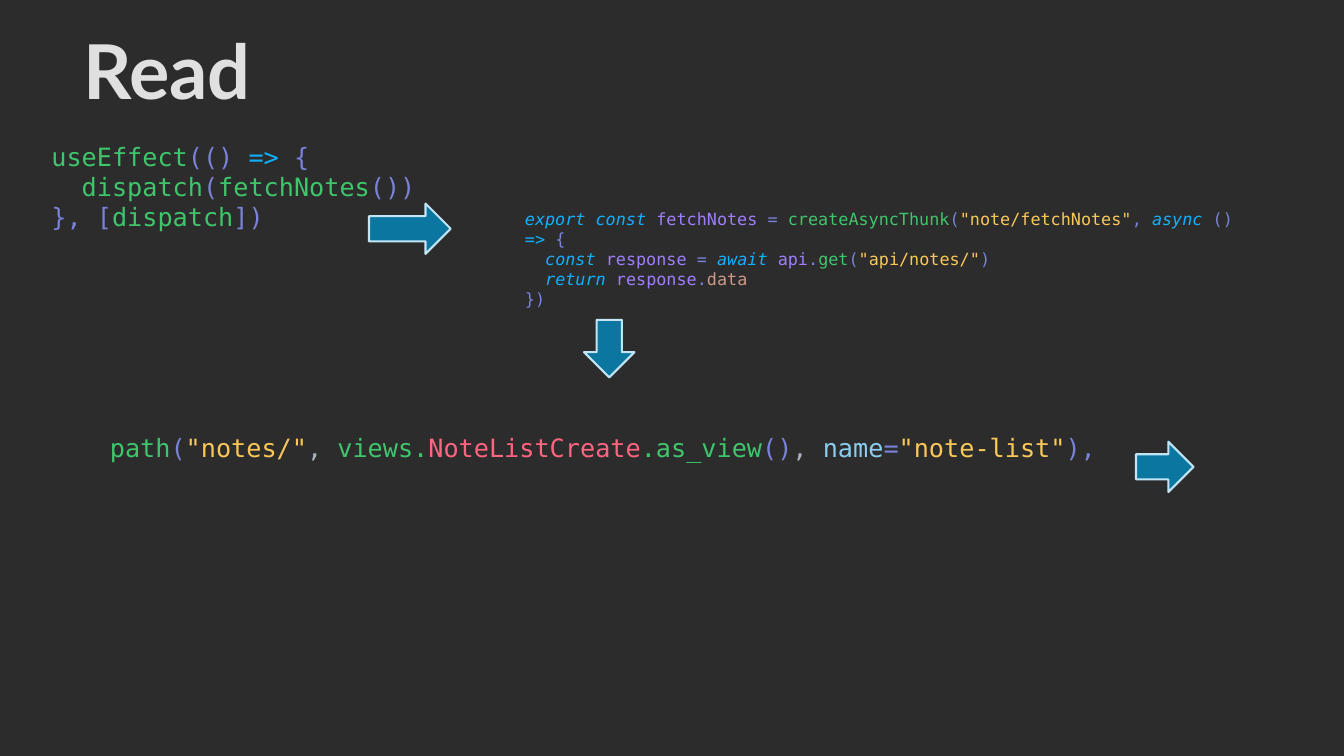
from pptx import Presentation
from pptx.dml.color import RGBColor
from pptx.enum.shapes import MSO_SHAPE as Shape
from pptx.enum.text import MSO_ANCHOR as Anchor, MSO_AUTO_SIZE as AutoSize, PP_ALIGN as Align
from pptx.util import Cm, Pt

BACKGROUND = RGBColor(0x2C, 0x2C, 0x2C)
TITLE = RGBColor(0xE0, 0xE0, 0xE0)
ARROW_FILL = RGBColor(0x0B, 0x76, 0xA0)
ARROW_LINE = RGBColor(0xC1, 0xE5, 0xF5)

PLAIN = RGBColor(0xAB, 0xB2, 0xBF)
FUNCTION = RGBColor(0x3F, 0xC5, 0x6B)
PUNCTUATION = RGBColor(0x7A, 0x82, 0xDA)
KEYWORD = RGBColor(0x10, 0xB1, 0xFE)
VARIABLE = RGBColor(0x9F, 0x7E, 0xFE)
STRING = RGBColor(0xF9, 0xC8, 0x59)
PROPERTY = RGBColor(0xCE, 0x98, 0x87)
CLASS = RGBColor(0xFF, 0x64, 0x80)
ARGUMENT = RGBColor(0x8B, 0xCD, 0xEF)

EFFECT_CODE = [
    [("  ", PLAIN), ("useEffect", FUNCTION), ("(() ", PUNCTUATION), ("=> ", KEYWORD),
     ("{", PUNCTUATION)],
    [("    ", PLAIN), ("dispatch", FUNCTION), ("(", PUNCTUATION), ("fetchNotes", FUNCTION),
     ("())", PUNCTUATION)],
    [("  ", PLAIN), ("}, [", PUNCTUATION), ("dispatch", FUNCTION), ("])", PUNCTUATION)],
]
THUNK_CODE = [
    [("export const ", KEYWORD), ("fetchNotes ", VARIABLE), ("= ", PUNCTUATION),
     ("createAsyncThunk", FUNCTION), ("(", PUNCTUATION), ('"note/fetchNotes"', STRING),
     (", ", PUNCTUATION), ("async ", KEYWORD), ("() ", PUNCTUATION), ("=> ", KEYWORD),
     ("{", PUNCTUATION)],
    [("  ", PLAIN), ("const ", KEYWORD), ("response ", VARIABLE), ("= ", PUNCTUATION),
     ("await ", KEYWORD), ("api", VARIABLE), (".", PUNCTUATION), ("get", FUNCTION),
     ("(", PUNCTUATION), ('"api/notes/"', STRING), (")", PUNCTUATION)],
    [("  ", PLAIN), ("return ", KEYWORD), ("response", VARIABLE), (".", PUNCTUATION),
     ("data", PROPERTY)],
    [("})", PUNCTUATION)],
]
ROUTE_CODE = [
    [("    ", PLAIN), ("path", FUNCTION), ("(", PUNCTUATION), ('"notes/"', STRING),
     (", ", PLAIN), ("views.", FUNCTION), ("NoteListCreate", CLASS), (".as_view", FUNCTION),
     ("()", PUNCTUATION), (", ", PLAIN), ("name", ARGUMENT), ("=", PUNCTUATION),
     ('"note-list"', STRING), ("),", PUNCTUATION)],
]


def add_span(para, text, *, font, size, color, bold=False, italic=False):
    span = para.add_run()
    span.text = text
    span.font.name = font
    span.font.size = Pt(size)
    span.font.color.rgb = color
    span.font.bold = bold
    span.font.italic = italic


def set_title(page, text):
    title = page.shapes.title
    title.left, title.top, title.width, title.height = Cm(0), Cm(0.53), Cm(8.41), Cm(2.51)
    frame = title.text_frame
    frame.auto_size = AutoSize.NONE
    frame.vertical_anchor = Anchor.BOTTOM
    para = frame.paragraphs[0]
    para.alignment = Align.CENTER
    para.line_spacing = 0.9
    add_span(para, text, font="Lato", size=54, color=TITLE, bold=True)


def add_code(page, lines, left, top, width, height, size):
    """Add a listing, one paragraph per line, with keywords in italics."""
    box = page.shapes.add_textbox(Cm(left), Cm(top), Cm(width), Cm(height))
    frame = box.text_frame
    frame.word_wrap = True
    for number, line in enumerate(lines):
        para = frame.add_paragraph() if number else frame.paragraphs[0]
        for text, color in line:
            add_span(para, text, font="DejaVu Sans Mono", size=size, color=color,
                     italic=color == KEYWORD)


def add_arrow(page, kind, left, top, width, height):
    arrow = page.shapes.add_shape(kind, Cm(left), Cm(top), Cm(width), Cm(height))
    arrow.shadow.inherit = False
    arrow.fill.solid()
    arrow.fill.fore_color.rgb = ARROW_FILL
    arrow.line.color.rgb = ARROW_LINE
    arrow.line.width = Pt(1.5)


def main():
    deck = Presentation()
    deck.slide_width, deck.slide_height = Cm(33.87), Cm(19.05)
    page = deck.slides.add_slide(deck.slide_layouts.get_by_name("Title Only"))
    page.background.fill.solid()
    page.background.fill.fore_color.rgb = BACKGROUND

    set_title(page, "Read")
    add_code(page, EFFECT_CODE, 0.28, 3.43, 15.06, 4.11, size=18)
    add_arrow(page, Shape.RIGHT_ARROW, 9.3, 5.13, 2.06, 1.27)
    add_code(page, THUNK_CODE, 12.98, 5.13, 18.85, 2.31, size=12)
    add_arrow(page, Shape.DOWN_ARROW, 14.72, 8.06, 1.27, 1.45)
    add_code(page, ROUTE_CODE, 0.99, 10.77, 28.7, 1.02, size=18)
    add_arrow(page, Shape.RIGHT_ARROW, 28.63, 11.13, 1.45, 1.27)
    deck.save("out.pptx")


if __name__ == "__main__":
    main()
